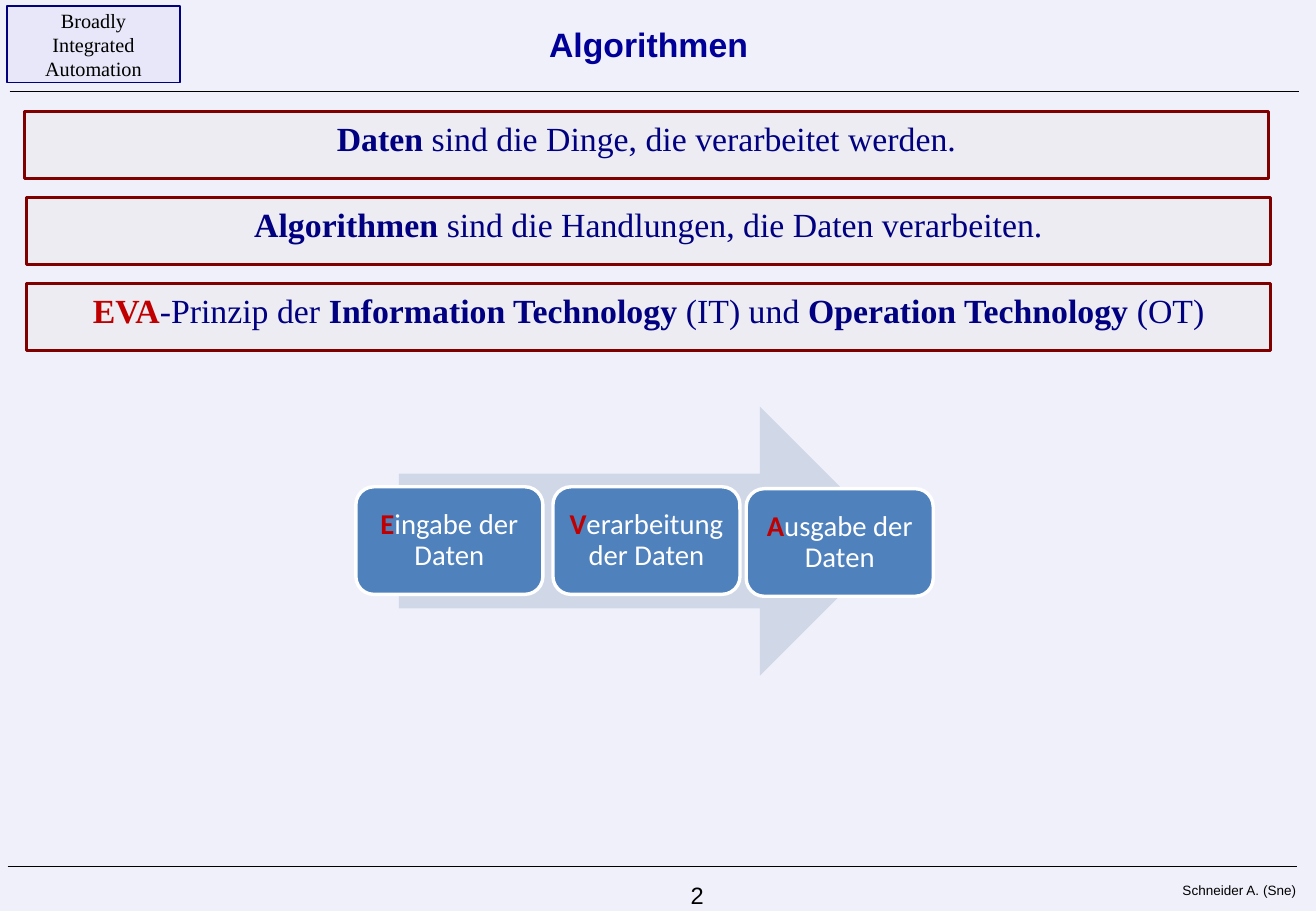
from lxml.etree import SubElement
from pptx import Presentation
from pptx.dml.color import RGBColor
from pptx.enum.shapes import MSO_CONNECTOR, MSO_SHAPE
from pptx.enum.text import MSO_ANCHOR, PP_ALIGN
from pptx.oxml.ns import qn
from pptx.util import Cm, Pt

SERIF, SANS, BODY = "Times New Roman", "Arial", "Calibri"
NAVY, RED, BLACK, WHITE = "000080", "C00000", "000000", "FFFFFF"
LAVENDER = "D6D6F5"


def rgb(value):
    return RGBColor.from_string(value)


def run(text, **fmt):
    """Pair a text with the format that differs from its paragraph's."""
    return text, fmt


class SlideBuilder:
    def __init__(self, prs, background):
        self.s = prs.slides.add_slide(prs.slide_layouts[6])
        fill = self.s.background.fill
        fill.solid()
        fill.fore_color.rgb = rgb(background)

    def set_text(self, sp, runs, *, font, size, color, bold=False, align=PP_ALIGN.CENTER,
                 anchor=MSO_ANCHOR.TOP, inset=None, spacing=None):
        tf = sp.text_frame
        tf.word_wrap = True
        tf.vertical_anchor = anchor
        if inset is not None:
            tf.margin_left = tf.margin_right = Cm(inset)
            tf.margin_top = tf.margin_bottom = Cm(inset)
        p = tf.paragraphs[0]
        p.alignment = align
        if spacing:
            p.line_spacing = spacing
        for text, fmt in runs:
            r = p.add_run()
            r.text = text
            r.font.name = font
            r.font.size = Pt(size)
            r.font.bold = fmt.get("bold", bold)
            r.font.color.rgb = rgb(fmt.get("color", color))

    def text(self, x, y, w, h, text, **style):
        sp = self.s.shapes.add_textbox(Cm(x), Cm(y), Cm(w), Cm(h))
        self.set_text(sp, [run(text)], **style)

    def shape(self, kind, x, y, w, h, fill, *, alpha=None, line=None, width=1):
        sp = self.s.shapes.add_shape(kind, Cm(x), Cm(y), Cm(w), Cm(h))
        sp.shadow.inherit = False
        sp.fill.solid()
        sp.fill.fore_color.rgb = rgb(fill)
        if alpha is not None:
            color = sp._element.spPr.find(qn("a:solidFill"))[0]
            SubElement(color, qn("a:alpha"), val=str(alpha * 1000))
        if line:
            sp.line.color.rgb = rgb(line)
            sp.line.width = Pt(width)
        else:
            sp.line.fill.background()
        return sp

    def rule(self, x1, x2, y):
        line = self.s.shapes.add_connector(
            MSO_CONNECTOR.STRAIGHT, Cm(x1), Cm(y), Cm(x2), Cm(y))
        line.line.color.rgb = rgb(BLACK)
        line.line.width = Pt(0.75)
        SubElement(line._element.spPr, qn("a:effectLst"))

    def statement(self, x, y, runs):
        sp = self.shape(MSO_SHAPE.RECTANGLE, x, y, 26, 1.4, "EAEAEA",
                        alpha=50, line="800000", width=1.75)
        self.set_text(sp, runs, font=SERIF, size=20, color=NAVY)

    def step(self, x, y, initial, rest):
        sp = self.shape(MSO_SHAPE.ROUNDED_RECTANGLE, x, y, 3.91, 2.25, "4F81BD",
                        line=WHITE, width=2)
        self.set_text(sp, [run(initial, bold=True, color=RED), run(rest)], font=BODY,
                      size=17, color=WHITE, anchor=MSO_ANCHOR.MIDDLE, inset=0.18,
                      spacing=0.9)


def main():
    prs = Presentation()
    prs.slide_width, prs.slide_height = Cm(27.51), Cm(19.05)
    slide = SlideBuilder(prs, "F0F0FB")

    slide.rule(0.2, 27.15, 1.92)
    slide.rule(0.16, 27.12, 18.12)
    badge = slide.shape(MSO_SHAPE.RECTANGLE, 0.15, 0.13, 3.61, 1.6, LAVENDER,
                        alpha=32, line=NAVY)
    slide.set_text(badge, [run("Broadly Integrated Automation")], font=SERIF, size=12,
                   color=BLACK, anchor=MSO_ANCHOR.MIDDLE)
    slide.text(3.96, 0.1, 19.2, 1.63, "Algorithmen", font=SANS, size=20,
               color="000099", bold=True, anchor=MSO_ANCHOR.MIDDLE)
    slide.text(11.15, 18.29, 3.81, 0.64, "2", font=SANS, size=14, color=BLACK,
               align=PP_ALIGN.RIGHT)
    slide.text(22.73, 18.31, 4.62, 0.41, "Schneider A. (Sne)", font=SANS, size=8,
               color=BLACK, align=PP_ALIGN.RIGHT)

    statements = [
        (0.52, [run("Daten ", bold=True), run("sind die Dinge, die verarbeitet werden.")]),
        (0.56, [run("Algorithmen ", bold=True),
                run("sind die Handlungen, die Daten verarbeiten.")]),
        (0.56, [run("EVA", bold=True, color=RED), run("-Prinzip der "),
                run("Information Technology", bold=True), run(" (IT) und "),
                run("Operation Technology", bold=True), run(" (OT)")]),
    ]
    for i, (x, runs) in enumerate(statements):
        slide.statement(x, 2.33 + 1.8 * i, runs)

    slide.shape(MSO_SHAPE.RIGHT_ARROW, 8.34, 8.5, 10.36, 5.63, "D0D8E8")
    for x, y, initial, rest in [
        (7.44, 10.18, "E", "ingabe der Daten"),
        (11.56, 10.18, "V", "erarbeitung der Daten"),
        (15.6, 10.22, "A", "usgabe der Daten"),
    ]:
        slide.step(x, y, initial, rest)

    prs.save("out.pptx")


if __name__ == "__main__":
    main()
